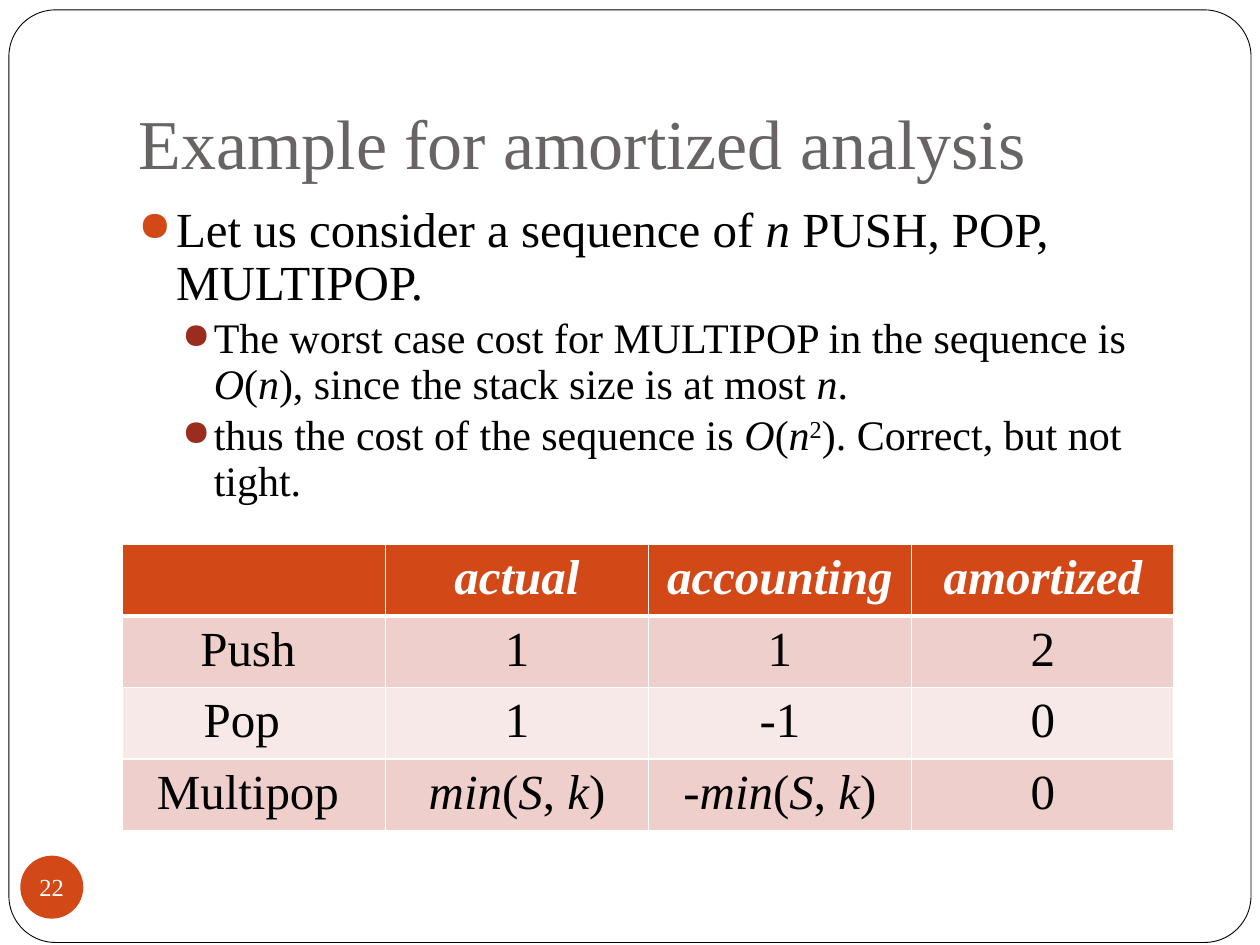
import pptx
import pptx.dml.color
import pptx.enum.shapes
import pptx.enum.text
import pptx.oxml
import pptx.oxml.ns
import pptx.util
from pptx.util import Cm, Pt

FONT = "Times New Roman"
COLORS = {
    "white": "FFFFFF", "black": "000000", "title": "696464",
    "accent": "D34817", "sub_bullet": "9B2D1F",
    "odd_row": "EFCFCC", "even_row": "F7E9E8",
}

# Text between asterisks is italic; text between carets is superscript.
TITLE = "Example for amortized analysis"
BULLETS = [
    (0, "Let us consider a sequence of *n* PUSH, POP, MULTIPOP."),
    (1, "The worst case cost for MULTIPOP in the sequence is "
        "*O*(*n*), since the stack size is at most *n*."),
    (1, "thus the cost of the sequence is *O*(*n*^2^). Correct, but not tight."),
]
LEVELS = [
    {"size": 28, "before": 5.8, "left": 0.76, "hang": 0.76, "color": "accent"},
    {"size": 24, "before": 3.7, "left": 1.52, "hang": 0.64, "color": "sub_bullet"},
]
COSTS = [
    ["", "*actual*", "*accounting*", "*amortized*"],
    ["Push", "1", "1", "2"],
    ["Pop", "1", "-1", "0"],
    ["Multipop", "*min*(*S*, *k*)", "*-min*(*S*, *k*)", "0"],
]
NAME_MARGINS = {"Push": 0.5, "Pop": 0.75, "Multipop": 0.5}
PAGE_NUMBER = "22"


def rgb(name):
    return pptx.dml.color.RGBColor.from_string(COLORS[name])


def apply(target, values):
    for name, value in values.items():
        setattr(target, name, value)


def add_text(paragraph, marked_text, size, color, bold=False):
    """Add the runs of a text marked with asterisks and carets."""
    for i, part in enumerate(marked_text.split("*")):
        for j, text in enumerate(part.split("^")):
            if not text:
                continue
            run = paragraph.add_run()
            run.text = text
            apply(run.font, {"name": FONT, "size": Pt(size), "bold": bold,
                             "italic": i % 2 == 1})
            run.font.color.rgb = rgb(color)
            if j % 2:
                run.font._element.set("baseline", "30000")


def add_bullet(paragraph, level):
    properties = paragraph._p.get_or_add_pPr()
    properties.set("marL", str(Cm(level["left"])))
    properties.set("indent", str(-Cm(level["hang"])))
    namespace = pptx.oxml.ns.nsdecls("a")
    for xml in (
        f'<a:buClr {namespace}><a:srgbClr val="{COLORS[level["color"]]}"/></a:buClr>',
        f'<a:buSzPct {namespace} val="85000"/>',
        f'<a:buChar {namespace} char="●"/>',
    ):
        properties.append(pptx.oxml.parse_xml(xml))


def add_borders(cell, widths):
    properties = cell._tc.get_or_add_tcPr()
    for side, width in widths.items():
        properties.append(pptx.oxml.parse_xml(
            f'<a:ln{side} {pptx.oxml.ns.nsdecls("a")} w="{Pt(width)}"><a:solidFill>'
            f'<a:srgbClr val="{COLORS["white"]}"/></a:solidFill></a:ln{side}>'))


def add_frame(slide):
    frame = slide.shapes.add_shape(
        pptx.enum.shapes.MSO_SHAPE.ROUNDED_RECTANGLE,
        Cm(0.18), Cm(0.2), Cm(25.04), Cm(18.8))
    frame.adjustments[0] = 0.05
    frame.shadow.inherit = False
    frame.fill.solid()
    frame.fill.fore_color.rgb = rgb("white")
    frame.line.color.rgb = rgb("black")
    frame.line.width = Pt(0.5)
    slide.shapes.title.element.addprevious(frame.element)


def add_title(slide):
    title = slide.shapes.title
    apply(title, {"left": Cm(2.54), "top": Cm(0.76),
                  "width": Cm(21.59), "height": Cm(3.18)})
    apply(title.text_frame, {
        "auto_size": pptx.enum.text.MSO_AUTO_SIZE.NONE, "word_wrap": True,
        "vertical_anchor": pptx.enum.text.MSO_ANCHOR.BOTTOM,
        "margin_bottom": Cm(0.25)})
    paragraph = title.text_frame.paragraphs[0]
    paragraph.alignment = pptx.enum.text.PP_ALIGN.LEFT
    add_text(paragraph, TITLE, 40, "title")


def add_body(slide):
    body = slide.shapes.add_textbox(Cm(2.54), Cm(4.01), Cm(21.59), Cm(12.7))
    body.text_frame.word_wrap = True
    for index, (depth, text) in enumerate(BULLETS):
        level = LEVELS[depth]
        paragraph = (body.text_frame.add_paragraph() if index
                     else body.text_frame.paragraphs[0])
        add_bullet(paragraph, level)
        apply(paragraph, {"level": depth, "line_spacing": 0.9,
                          "space_before": Pt(level["before"] if index else 0)})
        add_text(paragraph, text, level["size"], "black")


def add_cost_table(slide):
    table = slide.shapes.add_table(
        len(COSTS), len(COSTS[0]), Cm(2.47), Cm(10.98), Cm(21.2), Cm(5.36)).table
    for row, texts in enumerate(COSTS):
        header = row == 0
        fill = "accent" if header else "odd_row" if row % 2 else "even_row"
        for column, text in enumerate(texts):
            cell = table.cell(row, column)
            add_borders(cell, {"L": 1, "R": 1, "T": 3 if row == 1 else 1,
                               "B": 3 if header else 1})
            cell.fill.solid()
            cell.fill.fore_color.rgb = rgb(fill)
            cell.margin_right = Cm(NAME_MARGINS.get(text, 0.25))
            paragraph = cell.text_frame.paragraphs[0]
            paragraph.alignment = pptx.enum.text.PP_ALIGN.CENTER
            add_text(paragraph, text, 28, "white" if header else "black", header)


def add_page_number(slide):
    badge = slide.shapes.add_shape(
        pptx.enum.shapes.MSO_SHAPE.OVAL, Cm(0.41), Cm(17.25), Cm(1.27), Cm(1.27))
    badge.shadow.inherit = False
    badge.fill.solid()
    badge.fill.fore_color.rgb = rgb("accent")
    badge.line.fill.background()
    apply(badge.text_frame, {
        "margin_left": 0, "margin_right": 0, "margin_top": 0, "margin_bottom": 0,
        "word_wrap": False, "vertical_anchor": pptx.enum.text.MSO_ANCHOR.MIDDLE})
    paragraph = badge.text_frame.paragraphs[0]
    paragraph.alignment = pptx.enum.text.PP_ALIGN.CENTER
    add_text(paragraph, PAGE_NUMBER, 14, "white")


def main():
    presentation = pptx.Presentation()
    apply(presentation, {"slide_width": Cm(25.4), "slide_height": Cm(19.05)})
    slide = presentation.slides.add_slide(presentation.slide_layouts[5])
    for add_part in (add_frame, add_title, add_body, add_cost_table, add_page_number):
        add_part(slide)
    presentation.save("out.pptx")


if __name__ == "__main__":
    main()
